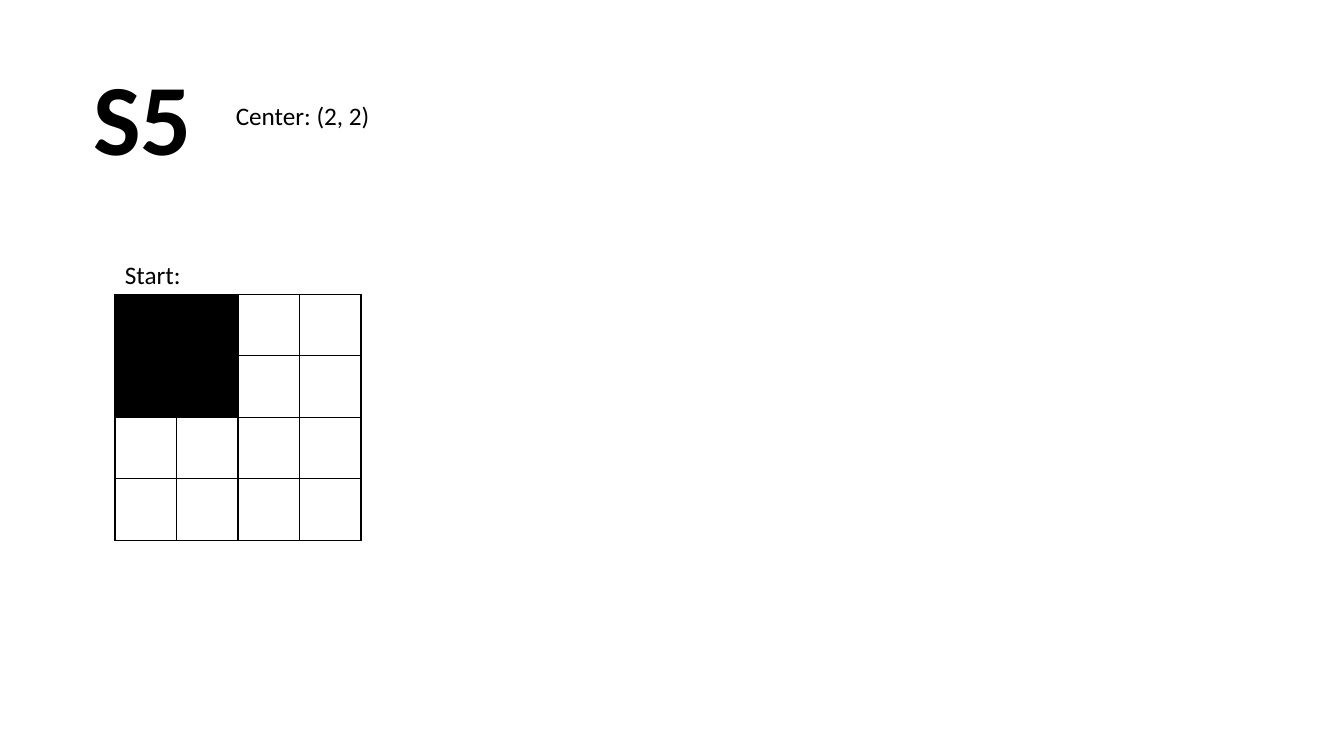
from lxml.etree import SubElement
from pptx import Presentation
from pptx.dml.color import RGBColor
from pptx.enum.text import MSO_AUTO_SIZE, PP_ALIGN
from pptx.oxml import parse_xml
from pptx.oxml.ns import nsdecls, qn
from pptx.util import Inches, Pt

BLACK = RGBColor(0x00, 0x00, 0x00)
WHITE = RGBColor(0xFF, 0xFF, 0xFF)
FONT = "Calibri"
GRID_SIZE = 4
CELL_SIZE = 0.61
START_CELLS = {(0, 0), (0, 1), (1, 0), (1, 1)}


def add_label(slide, text, left, top, width, height, size=18, bold=False,
              wrap=False, alignment=PP_ALIGN.LEFT):
    shape = slide.shapes.add_textbox(
        Inches(left), Inches(top), Inches(width), Inches(height))
    frame = shape.text_frame
    frame.word_wrap = wrap
    frame.auto_size = MSO_AUTO_SIZE.SHAPE_TO_FIT_TEXT
    paragraph = frame.paragraphs[0]
    paragraph.alignment = alignment
    run = paragraph.add_run()
    run.text = text
    run.font.name = FONT
    run.font.size = Pt(size)
    run.font.bold = bold
    run.font.color.rgb = BLACK


def set_borders(cell, color, width):
    properties = cell._tc.get_or_add_tcPr()
    for index, side in enumerate(("lnL", "lnR", "lnT", "lnB")):
        line = parse_xml(f'<a:{side} {nsdecls("a")} w="{Pt(width)}"/>')
        fill = SubElement(line, qn("a:solidFill"))
        SubElement(fill, qn("a:srgbClr"), val=str(color))
        properties.insert(index, line)


def add_grid(slide, left, top, black_cells):
    side = Inches(GRID_SIZE * CELL_SIZE)
    table = slide.shapes.add_table(
        GRID_SIZE, GRID_SIZE, Inches(left), Inches(top), side, side).table
    table.first_row = False
    table.horz_banding = False
    for band in (*table.columns, *table.rows):
        if hasattr(band, "width"):
            band.width = Inches(CELL_SIZE)
        else:
            band.height = Inches(CELL_SIZE)
    for row in range(GRID_SIZE):
        for column in range(GRID_SIZE):
            cell = table.cell(row, column)
            cell.fill.solid()
            cell.fill.fore_color.rgb = BLACK if (row, column) in black_cells else WHITE
            set_borders(cell, BLACK, 1)


def main():
    presentation = Presentation()
    presentation.slide_width = Inches(13.33)
    presentation.slide_height = Inches(7.5)
    slide = presentation.slides.add_slide(presentation.slide_layouts[6])
    add_grid(slide, 1.14, 2.92, START_CELLS)
    add_label(slide, "S5", 0.71, 0.49, 1.41, 1.31, size=72, bold=True,
              alignment=PP_ALIGN.CENTER)
    add_label(slide, "Start:", 1.14, 2.52, 1.39, 0.4, wrap=True)
    add_label(slide, "Center: (2, 2)", 2.24, 0.95, 1.63, 0.4)
    presentation.save("out.pptx")


main()
